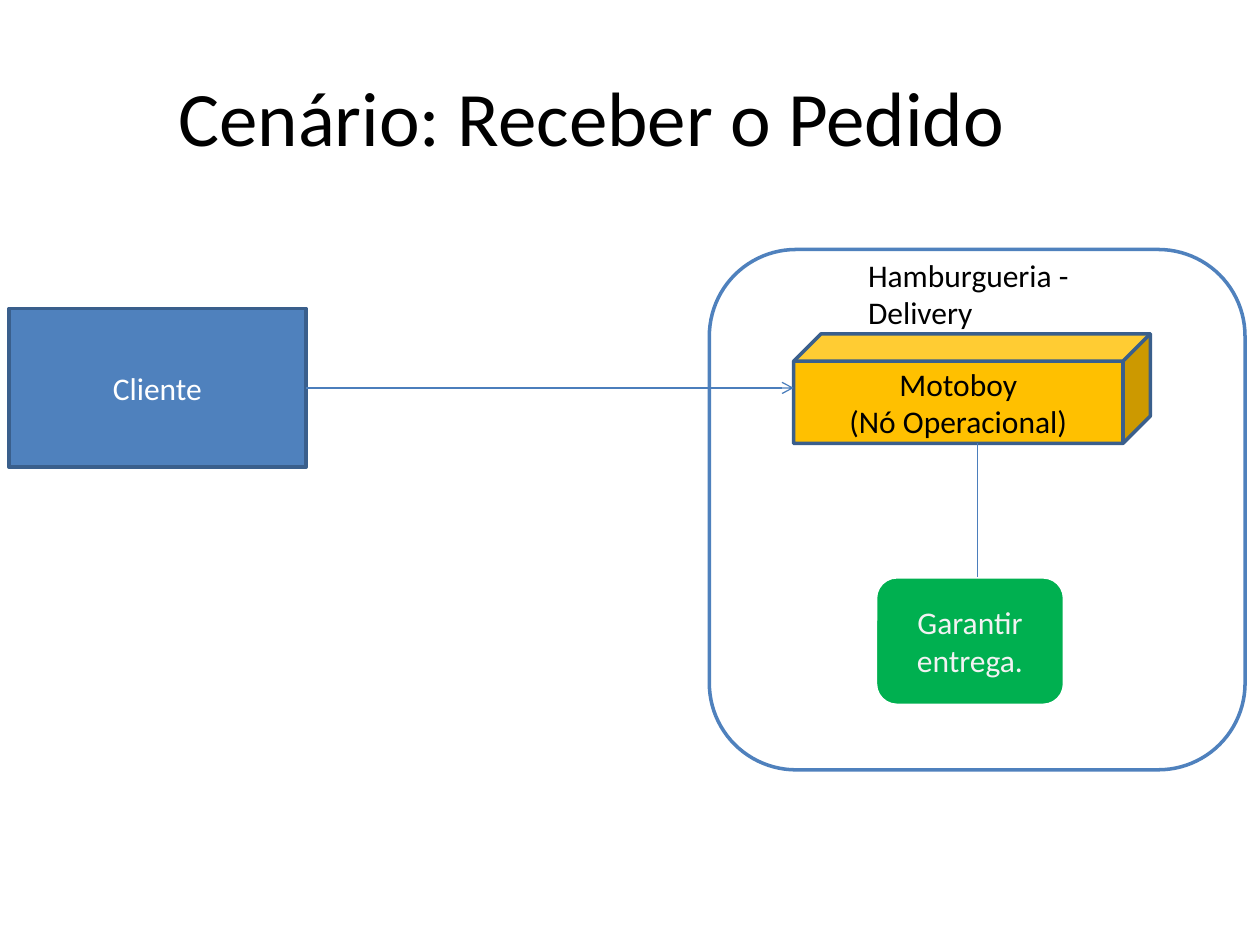
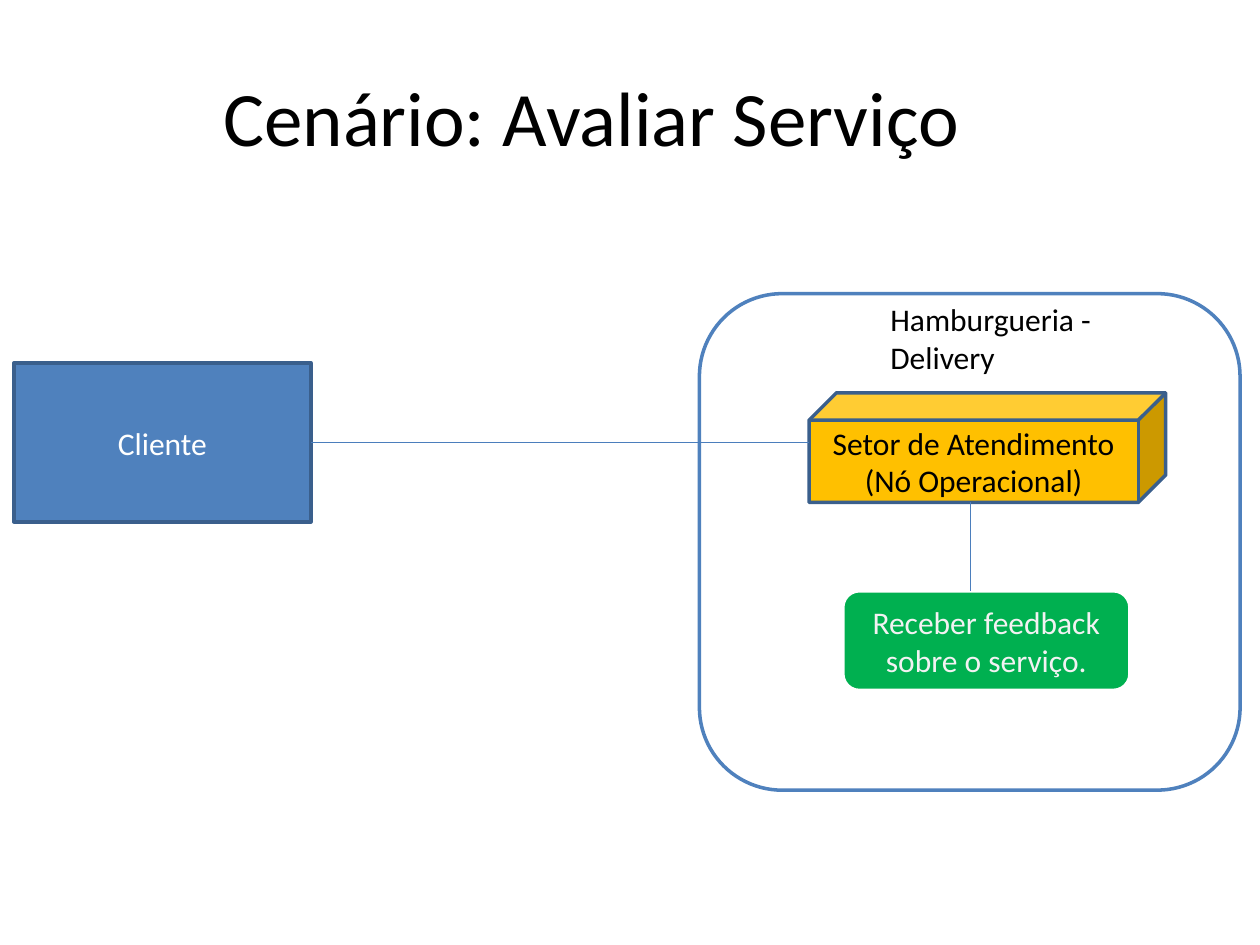
from dataclasses import dataclass

from lxml.etree import SubElement
from pptx import Presentation
from pptx.dml.color import RGBColor
from pptx.enum.shapes import MSO_CONNECTOR, MSO_SHAPE
from pptx.enum.text import MSO_ANCHOR, PP_ALIGN
from pptx.oxml.ns import qn
from pptx.util import Cm, Pt


@dataclass(frozen=True)
class Theme:
    font: str = "Calibri"
    title_size: int = 44
    body_size: int = 18
    outline_width: float = 2
    link_width: float = 0.75
    black: str = "000000"
    white: str = "FFFFFF"
    blue: str = "4F81BD"
    dark_blue: str = "3A5F8C"
    link_blue: str = "4B7EBC"
    amber: str = "FFC000"
    green: str = "00B050"
    pale: str = "F2F2F2"


theme = Theme()


def write(shape, text, size, color, align=PP_ALIGN.CENTER, anchor=MSO_ANCHOR.MIDDLE):
    frame = shape.text_frame
    frame.word_wrap = True
    frame.vertical_anchor = anchor
    frame.text = text
    for para in frame.paragraphs:
        para.alignment = align
        for span in para.runs:
            span.font.name = theme.font
            span.font.size = Pt(size)
            span.font.color.rgb = RGBColor.from_string(color)


def link(slide, start_x, start_y, end_x, end_y, arrow=False):
    line = slide.shapes.add_connector(
        MSO_CONNECTOR.STRAIGHT, Cm(start_x), Cm(start_y), Cm(end_x), Cm(end_y))
    line.line.color.rgb = RGBColor.from_string(theme.link_blue)
    line.line.width = Pt(theme.link_width)
    if arrow:
        SubElement(line.line._get_or_add_ln(), qn("a:tailEnd"), type="arrow")
    SubElement(line._element.spPr, qn("a:effectLst"))


client_width, client_height = 5.99, 3.2
node_width, node_height = 7.19, 2.21
label_width, label_height = 4.6, 1.8

scenarios = [
    {
        "title": "Cenário: Receber o Pedido",
        "client": (0.18, 6.22),
        "frame": (14.3, 5.03, 10.8, 10.49),
        "label_left": 17.25,
        "node": (16, 6.73),
        "node_text": "Motoboy\n(Nó Operacional)",
        "task": (17.65, 11.63, 3.81, 2.59),
        "task_text": "Garantir entrega.",
        "task_link_x": 19.71,
        "arrow": True,
    },
    {
        "title": "Cenário: Avaliar Serviço",
        "client": (0.28, 7.32),
        "frame": (14.1, 5.92, 10.9, 10.01),
        "label_left": 17.7,
        "node": (16.31, 7.92),
        "node_text": "Setor de Atendimento\n(Nó Operacional)",
        "task": (16.99, 11.91, 5.79, 2.01),
        "task_text": "Receber feedback sobre o serviço.",
        "task_link_x": 19.56,
        "arrow": False,
    },
]

deck = Presentation()
deck.slide_width, deck.slide_height = Cm(25.4), Cm(19.05)

for scenario in scenarios:
    page = deck.slides.add_slide(deck.slide_layouts[5])
    title = page.shapes.title
    title.left, title.top, title.width, title.height = Cm(0.5), Cm(0.75), Cm(22.86), Cm(3.18)
    write(title, scenario["title"], theme.title_size, theme.black)

    client_left, client_top = scenario["client"]
    node_left, node_top = scenario["node"]
    frame_top = scenario["frame"][1]
    task_top = scenario["task"][1]

    boxes = [
        (MSO_SHAPE.RECTANGLE, (client_left, client_top, client_width, client_height),
         theme.blue, theme.dark_blue, "Cliente", theme.white),
        (MSO_SHAPE.ROUNDED_RECTANGLE, scenario["frame"],
         theme.white, theme.blue, "", theme.black),
        (MSO_SHAPE.CUBE, (node_left, node_top, node_width, node_height),
         theme.amber, theme.dark_blue, scenario["node_text"], theme.black),
        (MSO_SHAPE.ROUNDED_RECTANGLE, scenario["task"],
         theme.green, theme.white, scenario["task_text"], theme.pale),
    ]
    for kind, place, fill, outline, text, color in boxes:
        box = page.shapes.add_shape(kind, *map(Cm, place))
        box.shadow.inherit = False
        box.fill.solid()
        box.fill.fore_color.rgb = RGBColor.from_string(fill)
        box.line.color.rgb = RGBColor.from_string(outline)
        box.line.width = Pt(theme.outline_width)
        if text:
            write(box, text, theme.body_size, color)

    label = page.shapes.add_textbox(
        Cm(scenario["label_left"]), Cm(frame_top), Cm(label_width), Cm(label_height))
    write(label, "Hamburgueria - Delivery", theme.body_size, theme.black,
          PP_ALIGN.LEFT, MSO_ANCHOR.TOP)

    client_middle = client_top + client_height / 2
    link(page, client_left + client_width, client_middle, node_left, client_middle,
         scenario["arrow"])
    link(page, scenario["task_link_x"], node_top + node_height,
         scenario["task_link_x"], task_top)

deck.save("out.pptx")
